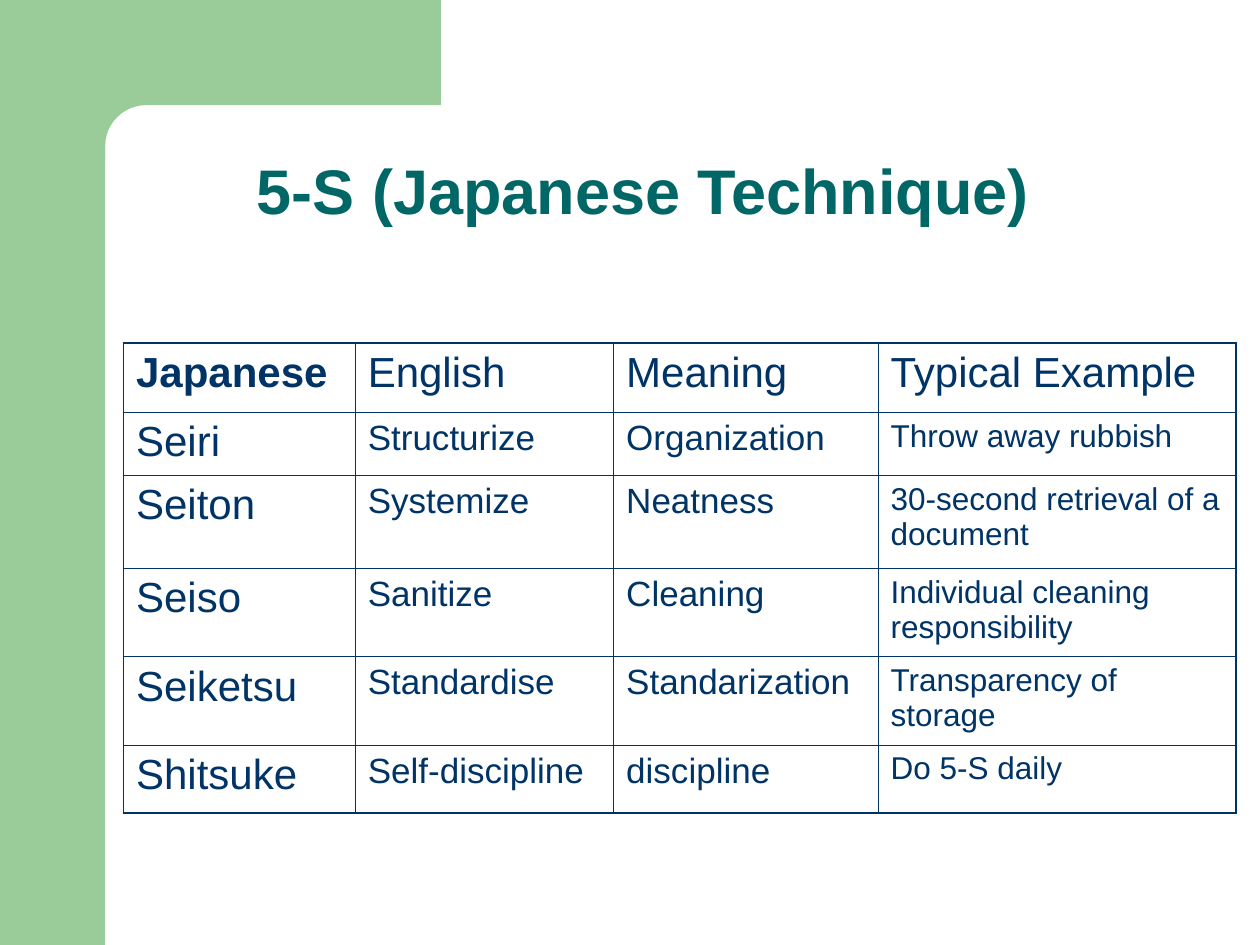
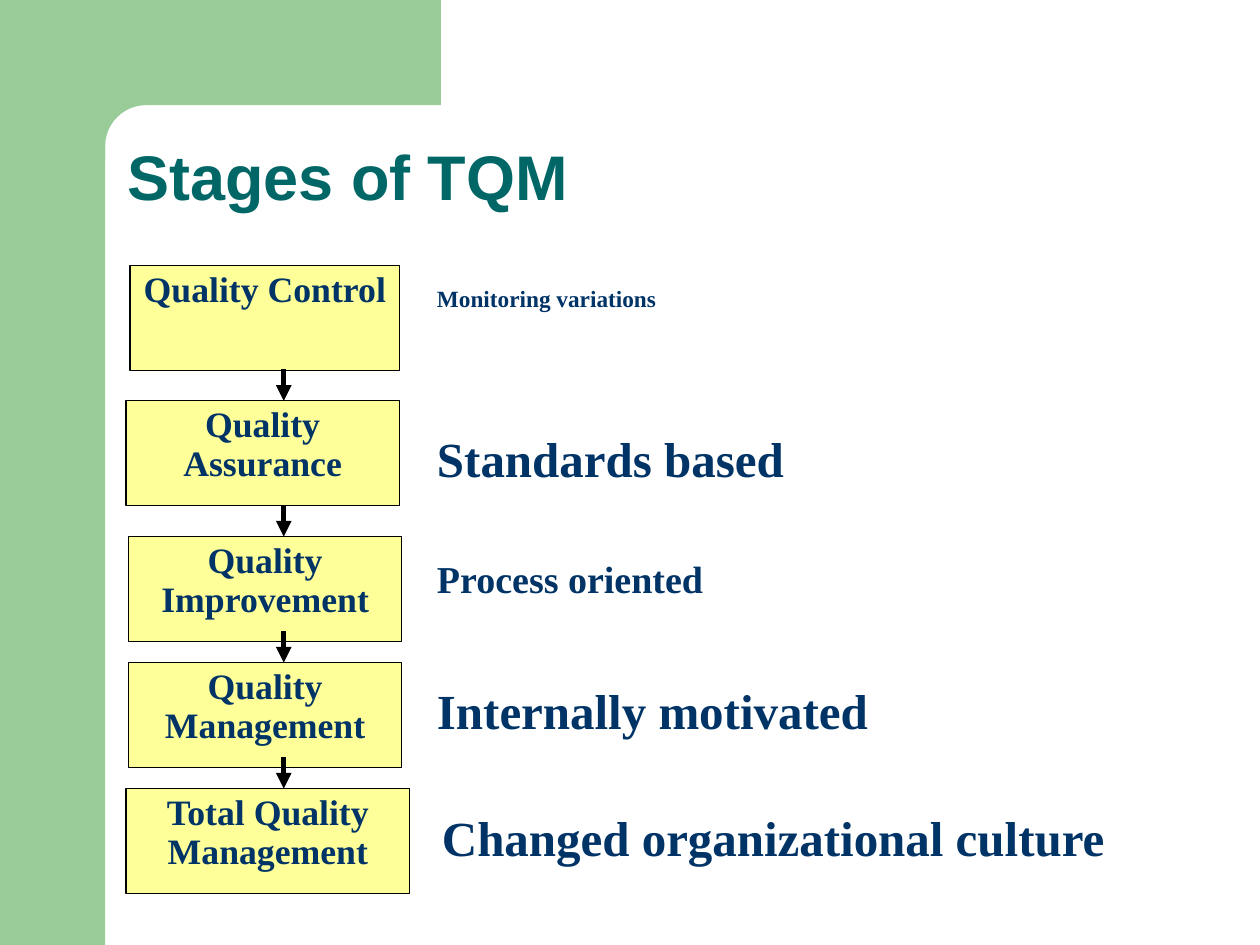
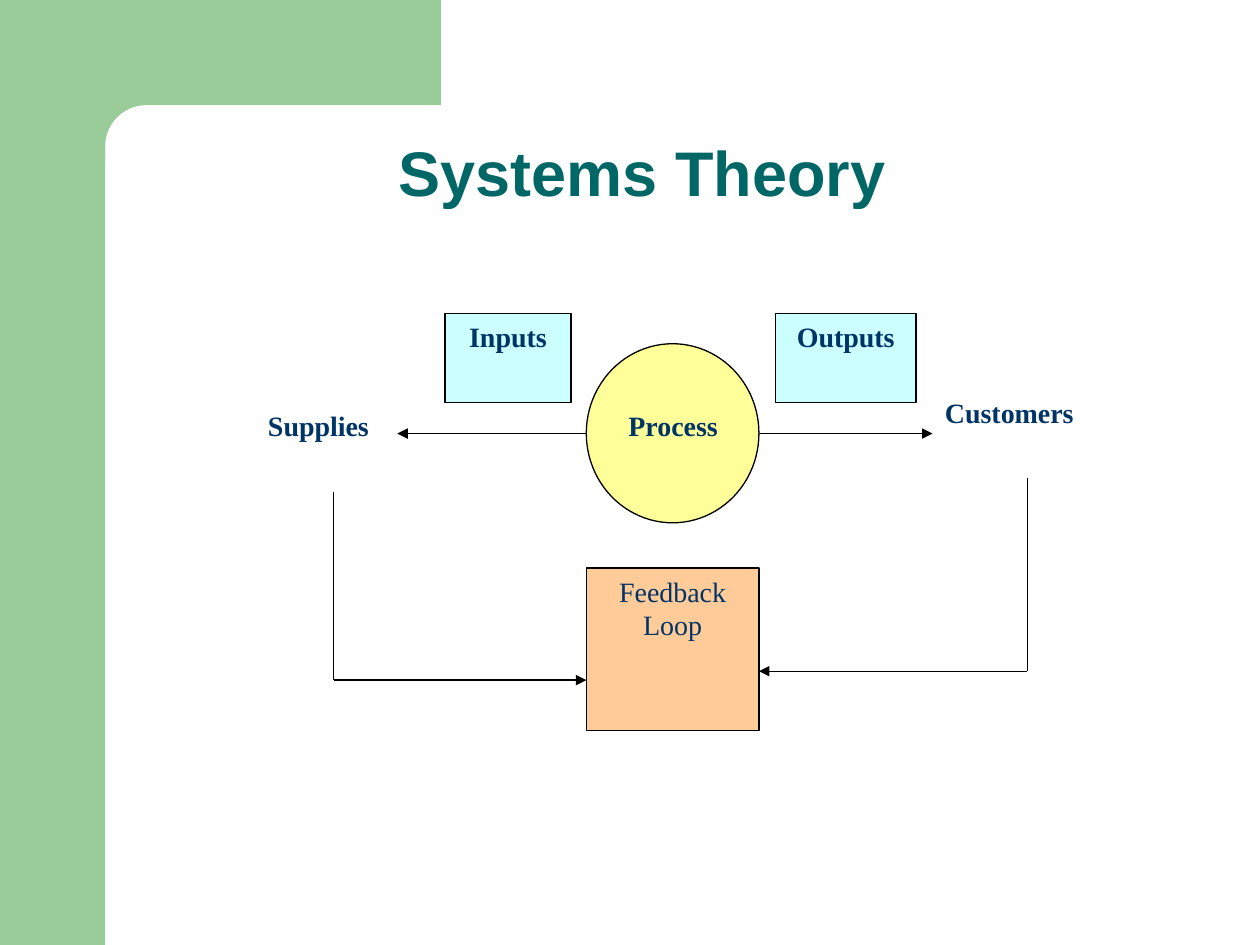
from math import cos, pi, sin

from lxml import etree
from pptx import Presentation
from pptx import util as u
from pptx.dml.color import RGBColor
from pptx.enum import shapes, text
from pptx.oxml import ns

Cm, Pt = u.Cm, u.Pt
GREEN, TEAL, NAVY = "99CC99", "006666", "003366"
YELLOW, ORANGE, AQUA = "FFFF99", "FFCC99", "CCFFFF"
BLACK, WHITE = "000000", "FFFFFF"
SANS, SERIF = "Arial", "Times New Roman"
LEFT, CENTER = text.PP_ALIGN.LEFT, text.PP_ALIGN.CENTER
RECT, OVAL = shapes.MSO_SHAPE.RECTANGLE, shapes.MSO_SHAPE.OVAL

SLIDE_W, SLIDE_H = 25.4, 19.05
BAND_W, ARC_R = 2.12, 0.83

TABLE_COLS = [4.67, 5.21, 5.33, 7.21]
TABLE_ROWS = [1.4, 1.27, 1.88, 1.78, 1.78, 1.37]
FIVE_S = [
    ("Japanese", "English", "Meaning", "Typical Example"),
    ("Seiri", "Structurize", "Organization", "Throw away rubbish"),
    ("Seiton", "Systemize", "Neatness", "30-second retrieval of a document"),
    ("Seiso", "Sanitize", "Cleaning", "Individual cleaning responsibility"),
    ("Seiketsu", "Standardise", "Standarization", "Transparency of storage"),
    ("Shitsuke", "Self-discipline", "discipline", "Do 5-S daily"),
]

# stage, (left, top, width), note, (left, drop, width, height), size, spacing
STAGES = [
    ("Quality Control", (0.08, 0, 5.44),
     "Monitoring variations", (6.02, 0.36, 12.37, 0.84), 13.3, 0.8),
    ("Quality Assurance", (0, 2.72, 5.51),
     "Standards based", (6.02, 0.43, 8.79, 1.47), 28, 1),
    ("Quality Improvement", (0.05, 5.46, 5.51),
     "Process oriented", (6.02, 0.43, 9.63, 1.27), 21.7, 0.8),
    ("Quality Management", (0.05, 8, 5.51),
     "Internally motivated", (6.02, 0.23, 11.1, 1.47), 28, 1),
    ("Total Quality Management", (0, 10.54, 5.72),
     "Changed organizational culture", (6.12, 0.25, 15.54, 1.7), 28, 1),
]


def rgb(code):
    return RGBColor.from_string(code)


def add_text(p, words, size, font=SERIF, color=NAVY, bold=True, align=LEFT, spacing=1):
    p.alignment, p.line_spacing = align, spacing
    r = p.add_run()
    r.text = words
    r.font.name, r.font.size, r.font.bold = font, Pt(size), bold
    r.font.color.rgb = rgb(color)


def add_box(s, box, fill, line=None, kind=RECT):
    sp = s.shapes.add_shape(kind, *map(Cm, box))
    sp.shadow.inherit = False
    sp.fill.solid()
    sp.fill.fore_color.rgb = rgb(fill)
    if line:
        sp.line.color.rgb, sp.line.width = rgb(line), Pt(0.75)
    else:
        sp.line.fill.background()
    return sp


def add_label(s, box, words, size, fill, line=None, **style):
    """Add a filled rectangle with its text at the top."""
    sp = add_box(s, box, fill, line)
    tf = sp.text_frame
    tf.word_wrap, tf.vertical_anchor = True, text.MSO_ANCHOR.TOP
    add_text(tf.paragraphs[0], words, size, **style)
    return sp


def add_line(s, start, end, width=0.75, arrow=True):
    line = s.shapes.add_connector(shapes.MSO_CONNECTOR.STRAIGHT, *map(Cm, start + end))
    line.line.color.rgb, line.line.width = rgb(BLACK), Pt(width)
    if arrow:
        etree.SubElement(line.line._get_or_add_ln(), ns.qn("a:tailEnd"), type="triangle")
    etree.SubElement(line.element.spPr, ns.qn("a:effectLst"))
    return line


def add_band(s, layout):
    """Build the green frame and move it to the back of the layout."""
    side = add_box(s, (0, 0, BAND_W, SLIDE_H), GREEN)
    centre = BAND_W + ARC_R
    turns = [pi / 2 * i / 12 for i in range(13)]
    corner = [(centre - ARC_R * sin(a), centre - ARC_R * cos(a)) for a in turns]
    outline = [(8.89, BAND_W)] + corner + [(BAND_W, 3.25), (1.27, 3.25), (1.27, 0)]
    fb = s.shapes.build_freeform(Cm(8.89), 0)
    fb.add_line_segments([(Cm(x), Cm(y)) for x, y in outline])
    top = fb.convert_to_shape()
    top.shadow.inherit = False
    top.fill.solid()
    top.fill.fore_color.rgb = rgb(GREEN)
    top.line.fill.background()
    for i, sp in enumerate((side, top)):
        layout.shapes.element.insert(2 + i, sp.element)


def set_title(s, words, box, align=CENTER, right=0.25):
    sp = s.shapes.title
    sp.left, sp.top, sp.width, sp.height = map(Cm, box)
    tf = sp.text_frame
    tf.auto_size, tf.word_wrap = text.MSO_AUTO_SIZE.NONE, True
    tf.vertical_anchor, tf.margin_right = text.MSO_ANCHOR.BOTTOM, Cm(right)
    add_text(tf.paragraphs[0], words, 36, SANS, TEAL, align=align, spacing=0.9)


def set_borders(cell, outer):
    """Draw thick lines on the sides named in outer and thin ones elsewhere."""
    for side in "LRTB":
        width = Pt(1.08 if side in outer else 0.45)
        ln = etree.SubElement(cell._tc.get_or_add_tcPr(), ns.qn("a:ln" + side), w=str(width))
        fill = etree.SubElement(ln, ns.qn("a:solidFill"))
        etree.SubElement(fill, ns.qn("a:srgbClr"), val=NAVY)


def add_five_s_table(s, x, y):
    size = Cm(sum(TABLE_COLS)), Cm(sum(TABLE_ROWS))
    rows, cols = len(TABLE_ROWS), len(TABLE_COLS)
    table = s.shapes.add_table(rows, cols, Cm(x), Cm(y), *size).table
    table.first_row = table.horz_banding = False
    for col, width in zip(table.columns, TABLE_COLS):
        col.width = Cm(width)
    for i, (row, height) in enumerate(zip(table.rows, TABLE_ROWS)):
        row.height = Cm(height)
        sizes = (24, 20, 20, 18) if i else (24,) * cols
        for j, (cell, points) in enumerate(zip(row.cells, sizes)):
            edges = {"L": j == 0, "R": j == cols - 1, "T": i == 0, "B": i == rows - 1}
            set_borders(cell, [side for side, outer in edges.items() if outer])
            cell.fill.background()
            p = cell.text_frame.paragraphs[0]
            p.space_before = Pt(points / 4)
            add_text(p, FIVE_S[i][j], points, SANS, bold=i == j == 0)


def add_stages(s, x, y):
    """Stack the stages with their notes, and lead an arrow into each later one."""
    for stage, (left, top, width), note, place, size, spacing in STAGES:
        add_label(s, (x + left, y + top, width, 2.11), stage, 20.4, YELLOW, BLACK,
                  align=CENTER, spacing=0.9)
        note_x, drop, note_w, note_h = place
        add_label(s, (x + note_x, y + top + drop, note_w, note_h), note, size, WHITE,
                  spacing=spacing)
    for _, (_, top, _), *_ in STAGES[1:]:
        add_line(s, (x + 3.18, y + top - 0.64), (x + 3.18, y + top), 3)


def add_system(s, x, y):
    """Draw the process with its flows and the feedback loop beneath."""
    def at(left, top, *size):
        return (x + left, y + top) + size

    add_box(s, at(6.99, 0.61, 3.48, 3.61), YELLOW, BLACK, OVAL)
    add_label(s, at(7.32, 1.8, 2.84, 1.52), "Process", 16, YELLOW, align=CENTER)
    add_label(s, at(0, 1.8, 3.18, 1.8), "Supplies", 16, WHITE, align=CENTER)
    add_label(s, at(6.99, 5.13, 3.48, 3.28), "Feedback Loop", 16, ORANGE, BLACK,
              bold=False, align=CENTER)
    customers = add_label(s, at(13.97, 1.52, 3.48, 1.8), "Customers", 16, WHITE)
    add_label(s, at(4.14, 0, 2.54, 1.8), "Inputs", 16, AQUA, BLACK, align=CENTER)
    add_label(s, at(10.8, 0, 2.84, 1.8), "Outputs", 16, AQUA, BLACK, align=CENTER)

    add_line(s, at(10.47, 2.42), at(13.97, 2.42)).end_connect(customers, 1)
    add_line(s, at(6.99, 2.42), at(3.18, 2.42))
    for line_x, top, bottom, loop_x in ((1.9, 3.6, 7.39, 6.99), (15.88, 3.32, 7.21, 10.47)):
        add_line(s, at(line_x, top), at(line_x, bottom), arrow=False)
        add_line(s, at(line_x, bottom), at(loop_x, bottom))


def main():
    prs = Presentation()
    prs.slide_width, prs.slide_height = Cm(SLIDE_W), Cm(SLIDE_H)
    layout = prs.slide_layouts[5]

    s = prs.slides.add_slide(layout)
    add_band(s, layout)
    set_title(s, "5-S (Japanese Technique)", (4.45, 2.79, 17.73, 1.93), right=0.96)
    add_five_s_table(s, 2.49, 6.91)

    s = prs.slides.add_slide(layout)
    set_title(s, "Stages of TQM", (2.31, 1.68, 21.62, 2.77), LEFT)
    add_stages(s, 2.54, 5.36)

    s = prs.slides.add_slide(layout)
    set_title(s, "Systems Theory", (2.26, 2.26, 21.72, 2.11), right=0.6)
    add_system(s, 4.83, 6.32)

    prs.save("out.pptx")


if __name__ == "__main__":
    main()
